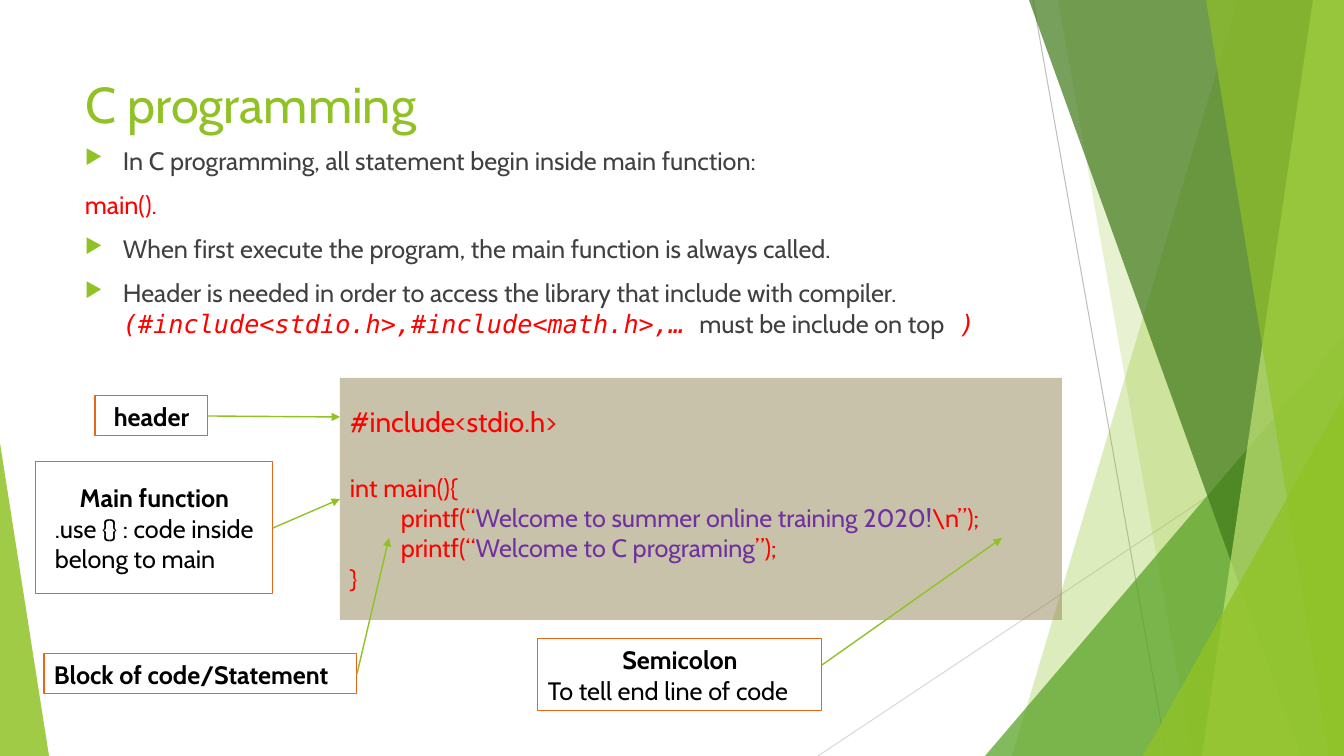
import collections

import lxml.etree
import pptx
import pptx.dml.color
import pptx.enum.shapes
import pptx.enum.text
import pptx.oxml.ns
import pptx.util

RGB = pptx.dml.color.RGBColor
LIME = RGB(0x90, 0xC2, 0x26)
GREEN = RGB(0x54, 0xA0, 0x21)
FOREST = RGB(0x3F, 0x78, 0x19)
PALE_LIME = RGB(0xC0, 0xE4, 0x74)
SILVER = RGB(0xBF, 0xBF, 0xBF)
LIGHT_GREY = RGB(0xD9, 0xD9, 0xD9)
CHARCOAL = RGB(0x40, 0x40, 0x40)
BLACK = RGB(0, 0, 0)
RED = RGB(0xFF, 0, 0)
PURPLE = RGB(0x70, 0x30, 0xA0)
ORANGE = RGB(0xE7, 0x66, 0x18)
KHAKI = RGB(0x91, 0x86, 0x55)

BODY_FONT = "Cabin"
CODE_FONT = "DejaVu Sans Mono"
SLIDE_W, SLIDE_H = 1344, 756
EMU_PER_PX = 12192000 / SLIDE_W

Box = collections.namedtuple("Box", "left top width height")
ALIGN = pptx.enum.text.PP_ALIGN
ANCHOR = pptx.enum.text.MSO_ANCHOR
SHAPE = pptx.enum.shapes.MSO_SHAPE


def px(*lengths):
    return [round(length * EMU_PER_PX) for length in lengths]


def inside(box, left, top, width, height):
    return Box(box.left + left, box.top + top, width, height)


def add_xml(parent, tag, **attributes):
    return lxml.etree.SubElement(parent, pptx.oxml.ns.qn(tag), attributes)


def paint(shape, color, opacity=100):
    shape.shadow.inherit = False
    shape.line.fill.background()
    shape.fill.solid()
    shape.fill.fore_color.rgb = color
    if opacity < 100:
        rgb = shape._element.spPr.find(".//" + pptx.oxml.ns.qn("a:srgbClr"))
        add_xml(rgb, "a:alpha", val=str(opacity * 1000))


def add_line(slide, start, end, color, width, arrow=False):
    line = slide.shapes.add_connector(
        pptx.enum.shapes.MSO_CONNECTOR.STRAIGHT, *px(*start, *end))
    line.line.color.rgb = color
    line.line.width = pptx.util.Pt(width)
    if arrow:
        add_xml(line.line._get_or_add_ln(), "a:tailEnd", type="triangle")
    add_xml(line._element.spPr, "a:effectLst")
    return line


def write(paragraph, runs, size=18, color=BLACK, bold=False, align=ALIGN.LEFT):
    """Fill a paragraph with (text, color, font) runs; None keeps its default."""
    paragraph.alignment = align
    font = paragraph.font
    font.name, font.size, font.bold = BODY_FONT, pptx.util.Pt(size), bold
    font.color.rgb = color
    for text, run_color, run_font in runs:
        run = paragraph.add_run()
        run.text = text
        if run_color:
            run.font.color.rgb = run_color
        if run_font:
            run.font.name, run.font.italic = run_font, True


def paragraphs(frame, count):
    return [frame.paragraphs[0]] + [frame.add_paragraph() for _ in range(count - 1)]


def draw_facets(slide, box):
    """Translucent facets that fan out along the right edge."""
    right, bottom = box.left + box.width, box.top + box.height

    def panel(top_x, bottom_x, color, opacity):
        outline = slide.shapes.build_freeform(box.left + top_x, box.top, EMU_PER_PX)
        outline.add_line_segments(
            [(right, box.top), (right, bottom), (box.left + bottom_x, bottom)])
        paint(outline.convert_to_shape(), color, opacity)

    def corner(x, y, color, opacity):
        triangle = slide.shapes.add_shape(
            SHAPE.ISOSCELES_TRIANGLE,
            *px(*inside(box, x, y, box.width - x, box.height - y)))
        triangle.adjustments[0] = 1
        paint(triangle, color, opacity)

    add_line(slide, (box.left + 215, box.top), (box.left + 349, bottom), SILVER, 0.75)
    add_line(slide, (right, box.top + 406), (box.left, bottom), LIGHT_GREY, 0.75)
    panel(420, 194, LIME, 30)
    panel(240, 374, LIME, 20)
    corner(167, 336, GREEN, 72)
    panel(211, 483, FOREST, 70)
    panel(495, 384, PALE_LIME, 70)
    panel(388, 511, LIME, 65)
    corner(325, 396, LIME, 80)


def draw_left_wedge(slide, box):
    wedge = slide.shapes.add_shape(SHAPE.ISOSCELES_TRIANGLE, *px(*box))
    wedge.adjustments[0] = 0
    paint(wedge, LIME, 85)


def draw_title(slide, box):
    title = slide.shapes.title
    title.left, title.top, title.width, title.height = px(*box)
    title.text_frame.vertical_anchor = ANCHOR.TOP
    write(title.text_frame.paragraphs[0], [("C programming", None, None)], 36, LIME)


def draw_points(slide, box):
    points = [
        (True, [("In C programming, all statement begin inside main function:", None, None)]),
        (False, [("main().", RED, None)]),
        (True, [("When first execute the program, the main function is always called.",
                 None, None)]),
        (True, [("Header is needed in order to access the library that include with compiler. ",
                 None, None),
                ("(#include<stdio.h>,#include<math.h>,… ", RED, CODE_FONT),
                ("must be include on top", None, None),
                (" )", RED, CODE_FONT)]),
    ]
    frame = slide.shapes.add_textbox(*px(*box)).text_frame
    frame.word_wrap = True
    for paragraph, (bulleted, runs) in zip(paragraphs(frame, len(points)), points):
        if bulleted:
            properties = paragraph._p.get_or_add_pPr()
            indent = px(38)[0]
            properties.set("marL", str(indent))
            properties.set("indent", str(-indent))
            add_xml(add_xml(properties, "a:buClr"), "a:srgbClr", val=str(LIME))
            add_xml(properties, "a:buSzPct", val="80000")
            add_xml(properties, "a:buChar", char="▶")
        paragraph.space_before = pptx.util.Pt(10)
        write(paragraph, runs, color=CHARCOAL)


def draw_code(slide, box):
    def printf(message, ending):
        return [("printf(“", None, None), (message, PURPLE, None), (ending, None, None)]

    code = slide.shapes.add_shape(SHAPE.RECTANGLE, *px(*box))
    paint(code, KHAKI, 50)
    frame = code.text_frame
    frame.word_wrap = True
    frame.vertical_anchor = ANCHOR.MIDDLE
    include, main, welcome, topic, closing = paragraphs(frame, 5)
    write(include, [("#include<stdio.h>", None, None)], 20, RED)
    main.space_before = pptx.util.Pt(24)
    write(main, [("int main(){", None, None)], color=RED)
    write(welcome, printf("Welcome to summer online training 2020!", "\\n”);"), color=RED)
    write(topic, printf("Welcome to C programing", "”);"), color=RED)
    write(closing, [("}", None, None)], color=RED)
    for statement in (welcome, topic):
        statement._p.get_or_add_pPr().set("marL", str(px(51)[0]))
    return code


def draw_label(slide, box, heading, detail=None, align=ALIGN.CENTER, detail_indent=0):
    label = slide.shapes.add_shape(SHAPE.RECTANGLE, *px(*box))
    label.shadow.inherit = False
    label.fill.background()
    label.line.color.rgb = ORANGE
    label.line.width = pptx.util.Pt(0.75)
    frame = label.text_frame
    frame.word_wrap = True
    frame.vertical_anchor = ANCHOR.MIDDLE
    write(frame.paragraphs[0], [(heading, None, None)], bold=True, align=align)
    if detail:
        paragraph = frame.add_paragraph()
        paragraph._p.get_or_add_pPr().set("marL", str(px(detail_indent)[0]))
        write(paragraph, [(detail, None, None)])
    return label


def draw_annotated_code(slide, box):
    """Code panel with four labels pointing into it."""
    def arrow(start, end):
        x, y = box.left, box.top
        return add_line(slide, (x + start[0], y + start[1]),
                        (x + end[0], y + end[1]), LIME, 1, arrow=True)

    code = draw_code(slide, inside(box, 304, 0, 722, 242))
    header = draw_label(slide, inside(box, 59, 18, 113, 40), "header")
    arrow((172, 38), (304, 39)).begin_connect(header, 3)
    main = draw_label(slide, inside(box, 0, 84, 237, 132), "Main function",
                      ".use {} : code inside belong to main", detail_indent=9)
    main_arrow = arrow((237, 150), (304, 121))
    main_arrow.begin_connect(main, 3)
    main_arrow.end_connect(code, 1)
    block = draw_label(slide, inside(box, 8, 276, 313, 40),
                       "Block of code/Statement", align=ALIGN.LEFT)
    arrow((321, 296), (353, 160)).begin_connect(block, 3)
    draw_label(slide, inside(box, 502, 261, 284, 72), "Semicolon",
               "To tell end line of code")
    arrow((786, 287), (966, 160))


def main():
    deck = pptx.Presentation()
    deck.slide_width, deck.slide_height = px(SLIDE_W, SLIDE_H)
    slide = deck.slides.add_slide(deck.slide_layouts[5])
    draw_facets(slide, Box(818, 0, 526, SLIDE_H))
    draw_left_wedge(slide, Box(0, 443, 49, 313))
    draw_title(slide, Box(75, 68, 948, 145))
    draw_points(slide, Box(75, 140, 948, 427))
    draw_annotated_code(slide, Box(36, 378, 1026, 333))
    deck.save("out.pptx")


if __name__ == "__main__":
    main()
